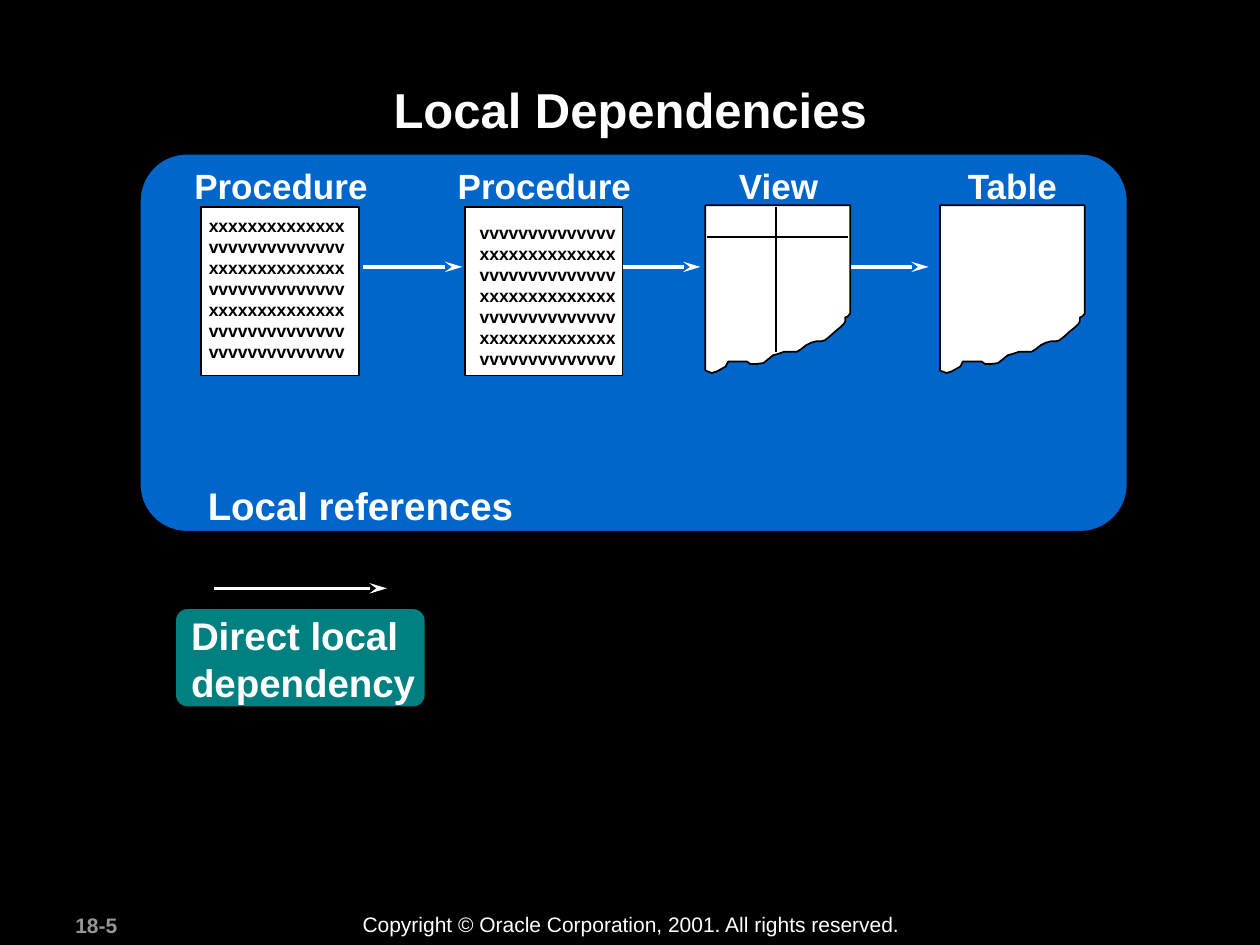
from dataclasses import dataclass
from lxml import etree
from pptx import Presentation
from pptx.dml.color import RGBColor as Rgb
from pptx.enum import shapes as es, text as et
from pptx.oxml import ns
from pptx.util import Cm, Pt


@dataclass(frozen=True)
class Theme:
    """Colours, type sizes and line widths of the slide."""
    font: str = "Arial"
    black: Rgb = Rgb(0, 0, 0)
    white: Rgb = Rgb(255, 255, 255)
    grey: Rgb = Rgb(0x96, 0x96, 0x96)
    blue: Rgb = Rgb(0, 0x66, 0xCC)
    teal: Rgb = Rgb(0, 0x80, 0x80)
    title: int = 28
    label: int = 22
    head: int = 20
    foot: int = 12
    code: int = 10
    thin: int = 1
    thick: int = 2


T = Theme()
X, V = "x" * 14, "v" * 14
TORN = [
    (2.92, 2.18), (2.92, 0), (0, 0), (0, 3.33), (0.13, 3.38), (0.23, 3.35),
    (0.41, 3.25), (0.46, 3.15), (0.84, 3.15), (0.91, 3.2), (1.02, 3.2),
    (1.17, 3.18), (1.27, 3.1), (1.37, 3.02), (1.45, 3), (1.6, 2.95),
    (1.85, 2.95), (1.93, 2.9), (2.03, 2.82), (2.13, 2.77), (2.24, 2.74),
    (2.34, 2.74), (2.41, 2.72), (2.51, 2.64), (2.62, 2.54), (2.72, 2.46),
    (2.79, 2.39), (2.82, 2.34), (2.82, 2.26), (2.87, 2.24),
]


def write(shape, lines, size, color=T.white, bold=True, mid=False,
          wrap=False, pad=(0.25, 0.13), pitch=None):
    """Fill the text frame of a shape with lines of one style."""
    frame = shape.text_frame
    frame.word_wrap = wrap
    frame.margin_left = frame.margin_right = Cm(pad[0])
    frame.margin_top = frame.margin_bottom = Cm(pad[1])
    frame.text = "\n".join(lines)
    for para in frame.paragraphs:
        para.alignment = et.PP_ALIGN.CENTER if mid else et.PP_ALIGN.LEFT
        if pitch:
            para.line_spacing = Pt(pitch)
        font = para.font
        font.name, font.size, font.bold = T.font, Pt(size), bold
        font.color.rgb = color


def label(slide, box, lines, size, **style):
    """Add a text box."""
    shape = slide.shapes.add_textbox(*map(Cm, box))
    write(shape, lines, size, **style)


def paint(shape, fill):
    """Give a shape a flat fill and a thin black outline."""
    shape.shadow.inherit = False
    shape.fill.solid()
    shape.fill.fore_color.rgb = fill
    shape.line.color.rgb = T.black
    shape.line.width = Pt(T.thin)


def panel(slide, box, fill, round=False):
    """Add a plain or rounded rectangle."""
    kind = es.MSO_SHAPE.ROUNDED_RECTANGLE if round else es.MSO_SHAPE.RECTANGLE
    shape = slide.shapes.add_shape(kind, *map(Cm, box))
    if round:
        shape.adjustments[0] = 0.124
    paint(shape, fill)
    return shape


def rule(slide, start, end, color, width, arrow=False):
    """Add a straight line, with an arrowhead at its end if asked."""
    line = slide.shapes.add_connector(
        es.MSO_CONNECTOR.STRAIGHT, *map(Cm, start + end))
    line.line.color.rgb = color
    line.line.width = Pt(width)
    if arrow:
        tail = etree.SubElement(line.line._get_or_add_ln(), ns.qn("a:tailEnd"))
        tail.set("type", "stealth")
        tail.set("len", "lg")
    etree.SubElement(line._element.spPr, ns.qn("a:effectLst"))


def arrow(slide, left, right, top):
    """Add a level white arrow."""
    rule(slide, (left, top), (right, top), T.white, T.thick, arrow=True)


def sheet(slide, left, top):
    """Add a page with a torn lower edge."""
    first, *rest = [(x * 100, y * 100) for x, y in TORN]
    pen = slide.shapes.build_freeform(*first, scale=Cm(0.01))
    pen.add_line_segments(rest, close=True)
    paint(pen.convert_to_shape(Cm(left), Cm(top)), T.white)


def code(slide, left, box, lines):
    """Add a procedure page with its lines of code."""
    panel(slide, (left, 4.17, 3.18, 3.4), T.white)
    label(slide, box, lines, T.code, color=T.black, pad=(0.2, 0.1), pitch=12)


def main():
    """Build the slide and save it."""
    deck = Presentation()
    deck.slide_width, deck.slide_height = Cm(25.4), Cm(19.05)
    slide = deck.slides.add_slide(deck.slide_layouts[6])
    back = slide.background.fill
    back.solid()
    back.fore_color.rgb = T.black

    label(slide, (1.27, 18.26, 2.67, 0.76), ["18-5"], T.foot,
          color=T.grey, wrap=True)
    label(slide, (7.06, 18.24, 11.38, 0.76),
          ["Copyright © Oracle Corporation, 2001. All rights reserved."],
          T.foot, bold=False, wrap=True)
    label(slide, (2.57, 1.47, 20.27, 2.44), ["Local Dependencies"], T.title,
          mid=True, wrap=True)

    panel(slide, (2.82, 3.1, 19.91, 7.62), T.blue, round=True)
    for name, left, width in (("Procedure", 3.66, 4.01),
                              ("Procedure", 8.97, 4.01),
                              ("View", 14.63, 2.13), ("Table", 19.23, 2.36)):
        label(slide, (left, 3.18, width, 1.09), [name], T.head, mid=True)
    label(slide, (3.94, 9.58, 6.68, 1.19), ["Local references"], T.label)

    code(slide, 4.06, (4.01, 4.24, 3.15, 3.18), [X, V] * 3 + [V])
    for left, right in ((7.32, 9.32), (12.45, 14.12), (17.04, 18.72)):
        arrow(slide, left, right, 5.38)
    code(slide, 9.37, (9.47, 4.37, 3.15, 3.61), [V, X] * 3 + [V])
    for left in (14.22, 18.95):
        sheet(slide, left, 4.14)
    rule(slide, (15.65, 4.17), (15.65, 7.09), T.black, T.thin)
    rule(slide, (14.25, 4.78), (17.09, 4.78), T.black, T.thin)

    key = panel(slide, (3.53, 12.26, 5.05, 2), T.teal, round=True)
    key.text_frame.vertical_anchor = et.MSO_ANCHOR.MIDDLE
    write(key, ["Direct local", "dependency"], T.label, pitch=27)
    arrow(slide, 4.32, 7.8, 11.86)
    deck.save("out.pptx")


if __name__ == "__main__":
    main()
